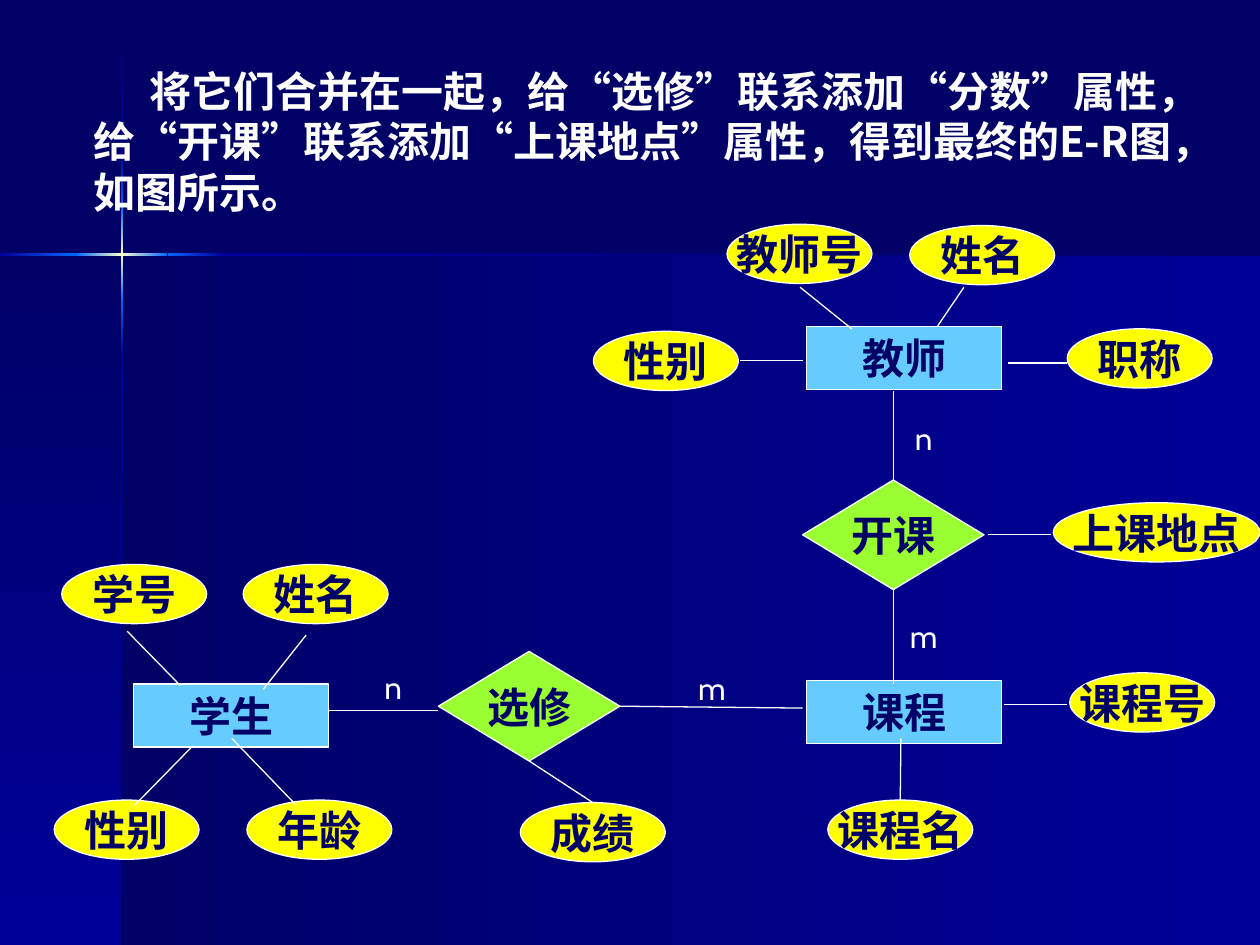
from copy import deepcopy
from lxml.etree import SubElement
from pptx import Presentation
from pptx.dml.color import RGBColor
from pptx.enum.shapes import MSO_CONNECTOR as Conn, MSO_SHAPE as Geo
from pptx.enum.text import MSO_ANCHOR as Anchor, PP_ALIGN as Align
from pptx.oxml.ns import qn
from pptx.util import Inches, Pt

COLS, ROWS = 100, 75
WIDTH, HEIGHT = Inches(10), Inches(7.5)
CJK = "Noto Sans CJK SC"
COLORS = {
    "navy": "000066", "blue": "000099", "glow": "0066FF", "spark": "FFFFCC",
    "white": "FFFFFF", "sky": "66CCFF", "green": "99FF33", "yellow": "FFFF00",
}
LABEL = {"size": Pt(24), "name": "Times New Roman", "bold": True}
MARK = {"size": Pt(18), "name": "Cabin"}
TITLE = {"size": Pt(24), "name": CJK, "bold": True}
KINDS = {
    "entity": (Geo.RECTANGLE, "sky", 15.5, 5),
    "relation": (Geo.DIAMOND, "green", 14.4, 8.7),
    "attribute": (Geo.OVAL, "yellow", 11.5, 4.7),
    "wide": (Geo.OVAL, "yellow", 16.4, 4.7),
}
BANDS = [
    (9.7, 20.2, 90.3, 54.8, 0, ("navy", "blue")),
    (0, 20.2, 9.7, 54.8, 90, ("navy", "blue")),
    (9.6, 0.1, 0.2, 12, 90, ("navy", "blue")),
    (9.6, 28.2, 0.2, 46.8, 90, ("blue", "navy")),
    (17.7, 20.1, 82.3, 0.2, 0, ("blue", "navy")),
    (9.6, 23.8, 0.2, 4.4, 90, ("glow", "blue")),
    (9.6, 12.1, 0.2, 4.4, 90, ("blue", "glow")),
    (9.6, 16.5, 0.2, 7.3, 90, ("glow", "spark", "glow")),
    (0, 20.1, 6.1, 0.2, 0, ("blue", "glow")),
    (13.3, 20.1, 4.4, 0.2, 0, ("glow", "blue")),
    (6, 20.1, 7.3, 0.2, 0, ("glow", "spark", "glow")),
]
NODES = [
    ("entity", "课程", 64, 54), ("entity", "学生", 10.6, 54.3),
    ("entity", "教师", 64, 25.9),
    ("relation", "选修", 34.8, 51.7), ("relation", "开课", 63.7, 38.1),
    ("attribute", "年龄", 19.6, 63.5), ("attribute", "性别", 4.3, 63.5),
    ("attribute", "姓名", 19.3, 44.8), ("attribute", "学号", 4.9, 44.8),
    ("attribute", "姓名", 72.2, 17.9), ("attribute", "教师号", 57.7, 17.8),
    ("attribute", "职称", 84.7, 26.1), ("attribute", "性别", 47.1, 26.3),
    ("attribute", "课程号", 84.9, 53.4), ("attribute", "课程名", 65.7, 63.5),
    ("wide", "上课地点", 83.6, 39.9), ("attribute", "成绩", 41.3, 63.7),
]
LINKS = [
    ((70.9, 46.7), (70.9, 54.3), ("开课", 2), None),
    ((70.9, 31), (70.9, 38.1), None, ("开课", 0)),
    ((49.3, 56), (63.7, 56.2), ("选修", 3), None),
    ((26.1, 56.4), (34.8, 56.4), None, None),
    ((10.1, 50.1), (14.3, 54.4), None, None),
    ((18.4, 58.6), (23.5, 63.9), None, None),
    ((24.3, 50.4), (20.9, 54.7), None, None),
    ((15.3, 59.2), (10.7, 63.9), None, None),
    ((63.5, 22.8), (67.6, 26.1), None, None),
    ((80, 28.8), (84.7, 28.8), None, None),
    ((76.5, 22.8), (74.4, 25.9), None, None),
    ((63.7, 28.6), (58.7, 28.6), None, None),
    ((84.7, 55.9), (79.7, 55.9), None, None),
    ((71.5, 58.6), (71.5, 63.5), None, ("课程名", 0)),
    ((83.4, 42.4), (78.4, 42.4), None, None),
    ((42, 60.4), (47.1, 63.7), ("选修", 2), ("成绩", 0)),
]
MARKS = [("n", 69.7, 32.8), ("m", 69.7, 48.5), ("n", 27.6, 52.5), ("m", 52.9, 52.6)]
HEADING = ("将它们合并在一起，给“选修”联系添加“分数”属性，给“开课”联系添加“上课地点”属性，"
           "得到最终的E-R图，如图所示。")


def rgb(name):
    """Return the named colour."""
    return RGBColor.from_string(COLORS[name])


def grid(x, y):
    """Turn a column and a row into slide lengths."""
    return round(WIDTH * x / COLS), round(HEIGHT * y / ROWS)


def write(s, text, font, color, wrap=True, anchor=Anchor.TOP, align=Align.CENTER):
    """Put one formatted paragraph into a shape and return it."""
    tf = s.text_frame
    tf.word_wrap, tf.vertical_anchor = wrap, anchor
    p = tf.paragraphs[0]
    p.alignment = align
    r = p.add_run()
    r.text = text
    for key, value in font.items():
        setattr(r.font, key, value)
    r.font.color.rgb = rgb(color)
    SubElement(r.font._element, qn("a:ea")).set("typeface", CJK)
    return p


def add_band(sp, x, y, w, h, angle, names):
    """Add a borderless band with an even gradient."""
    s = sp.add_shape(Geo.RECTANGLE, *grid(x, y), *grid(w, h))
    s.shadow.inherit = False
    s.line.fill.background()
    s.fill.gradient()
    s.fill.gradient_angle = -angle % 360
    stops = s.element.xpath(".//a:gsLst")[0]
    for _ in names[2:]:
        stops.append(deepcopy(stops[-1]))
    for i, (stop, name) in enumerate(zip(s.fill.gradient_stops, names)):
        stop.position = i / (len(names) - 1)
        stop.color.rgb = rgb(name)


def add_node(sp, kind, text, x, y):
    """Add an entity, relation or attribute and return it."""
    geo, color, w, h = KINDS[kind]
    s = sp.add_shape(geo, *grid(x, y), *grid(w, h))
    s.shadow.inherit = False
    s.fill.solid()
    s.fill.fore_color.rgb = rgb(color)
    s.line.color.rgb = rgb("white")
    s.line.width = Pt(0.75)
    write(s, text, LABEL, "navy", kind == "entity", Anchor.MIDDLE)
    return s


def add_link(sp, nodes, start, end, begin_at, end_at):
    """Add a thin line, joined to nodes where given."""
    s = sp.add_connector(Conn.STRAIGHT, *grid(*start), *grid(*end))
    s.line.color.rgb = rgb("white")
    s.line.width = Pt(0.75)
    SubElement(s.element.spPr, qn("a:effectLst"))
    for join, site in ((s.begin_connect, begin_at), (s.end_connect, end_at)):
        if site:
            join(nodes[site[0]], site[1])


def add_heading(sp):
    """Add the introductory paragraph with a first-line indent."""
    s = sp.add_textbox(*grid(6.4, 4.7), *grid(89.8, 13))
    p = write(s, HEADING, TITLE, "white", align=Align.LEFT)
    p.line_spacing = Pt(28.8)
    p._p.get_or_add_pPr().set("indent", str(Inches(0.45)))


def main():
    """Build the entity-relationship slide."""
    prs = Presentation()
    prs.slide_width, prs.slide_height = WIDTH, HEIGHT
    slide = prs.slides.add_slide(prs.slide_layouts[6])
    slide.background.fill.solid()
    slide.background.fill.fore_color.rgb = rgb("navy")
    sp = slide.shapes
    for band in BANDS:
        add_band(sp, *band)
    nodes = {node[1]: add_node(sp, *node) for node in NODES}
    for link in LINKS:
        add_link(sp, nodes, *link)
    for text, x, y in MARKS:
        write(sp.add_textbox(*grid(x, y), *grid(7.2, 4)), text, MARK, "white")
    add_heading(sp)
    prs.save("out.pptx")


if __name__ == "__main__":
    main()
